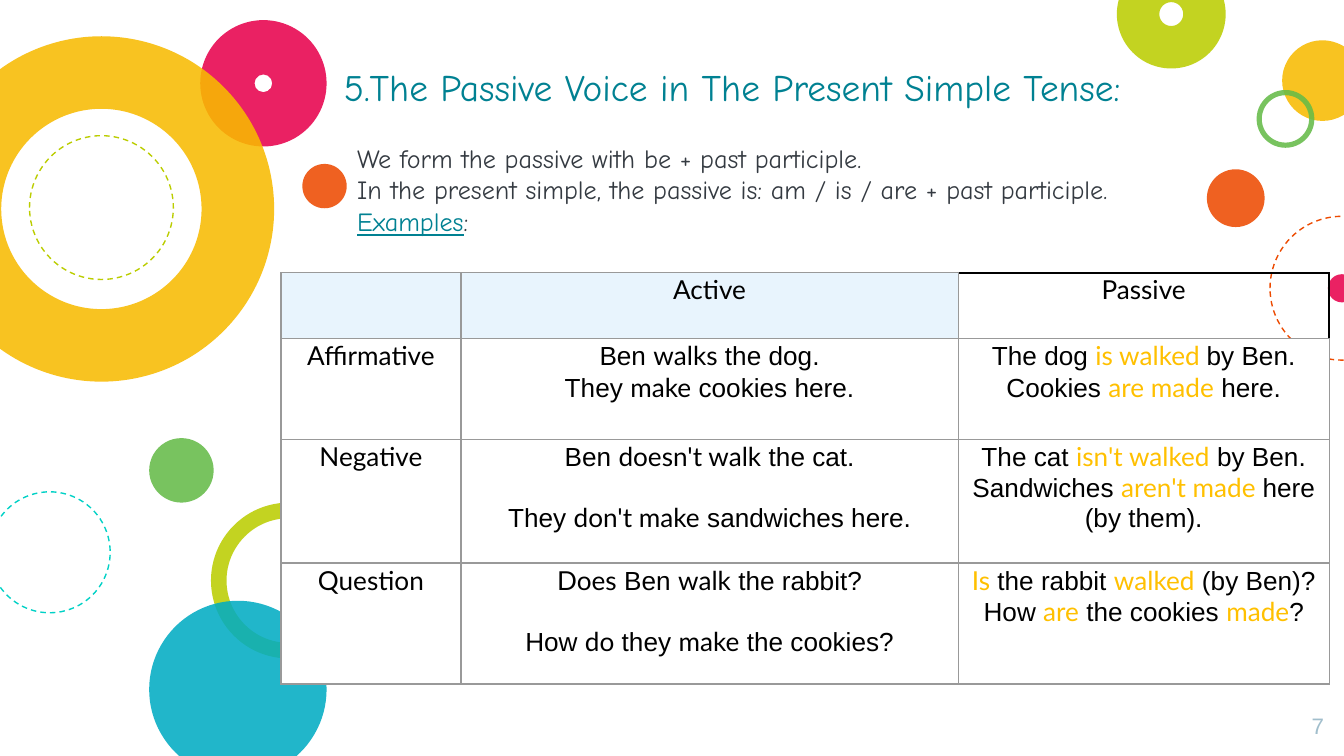
from dataclasses import dataclass

from lxml.etree import SubElement
from pptx import Presentation
from pptx.dml.color import RGBColor
from pptx.enum.dml import MSO_LINE
from pptx.enum.shapes import MSO_SHAPE
from pptx.enum.text import MSO_ANCHOR, PP_ALIGN
from pptx.oxml.ns import qn
from pptx.util import Inches, Pt


@dataclass(frozen=True)
class Theme:
    """Colours, fonts and type sizes of the lesson."""
    black: str = "000000"
    white: str = "FFFFFF"
    teal: str = "008192"
    ink: str = "343A41"
    muted: str = "A1BECC"
    highlight: str = "FFC000"
    header: str = "E8F4FD"
    grid: str = "999999"
    orange: str = "ED4A00"
    green: str = "65BB48"
    pink: str = "E8004C"
    lime: str = "BBCD00"
    yellow: str = "F8BB00"
    cyan: str = "00ACC3"
    aqua: str = "00D1C6"
    heading_font: str = "Comic Neue"
    plain_font: str = "Arial"
    accent_font: str = "Lato"
    title_size: int = 20
    body_size: int = 14
    number_size: int = 12
    opacity: int = 87


class LessonPage:
    """Draws the elements of one slide in the lesson style."""

    def __init__(self, page, theme):
        self.page = page
        self.theme = theme

    def circle(self, left, top, size, colour, hole=None, dashed=False):
        """Add a dashed ring, a disc, or a donut when a hole ratio is given."""
        kind = MSO_SHAPE.OVAL if hole is None else MSO_SHAPE.DONUT
        shape = self.page.shapes.add_shape(
            kind, Inches(left), Inches(top), Inches(size), Inches(size))
        shape.shadow.inherit = False
        if hole is not None:
            shape.adjustments[0] = hole
        if dashed:
            shape.fill.background()
            shape.line.color.rgb = RGBColor.from_string(colour)
            shape.line.width = Pt(0.75)
            shape.line.dash_style = MSO_LINE.DASH
            return
        shape.line.fill.background()
        shape.fill.solid()
        shape.fill.fore_color.rgb = RGBColor.from_string(colour)
        tint = shape.fill._xPr.find(f".//{qn('a:srgbClr')}")
        SubElement(tint, qn("a:alpha"), val=str(self.theme.opacity * 1000))

    def span(self, para, text, font, size, colour, underline=None):
        """Append one formatted run to a paragraph."""
        span = para.add_run()
        span.text = text
        span.font.name = font
        span.font.size = Pt(size)
        span.font.color.rgb = RGBColor.from_string(colour)
        span.font.underline = underline

    def text(self, area, lines, font, size, align=PP_ALIGN.LEFT,
             anchor=MSO_ANCHOR.TOP, inset=0.1):
        """Add a text box whose lines are lists of (text, colour, underline)."""
        box = self.page.shapes.add_textbox(*map(Inches, area))
        frame = box.text_frame
        frame.word_wrap = True
        frame.vertical_anchor = anchor
        frame.margin_top = frame.margin_bottom = Inches(inset)
        for index, line in enumerate(lines):
            para = frame.paragraphs[0] if index == 0 else frame.add_paragraph()
            para.alignment = align
            for text, colour, underline in line:
                self.span(para, text, font, size, colour, underline)

    def border(self, cell, side, colour, width):
        """Draw one side of a table cell."""
        line = SubElement(cell._tc.get_or_add_tcPr(), qn(f"a:ln{side}"), w=str(Pt(width)))
        fill = SubElement(line, qn("a:solidFill"))
        SubElement(fill, qn("a:srgbClr"), val=colour)

    def cell(self, cell, lines, accent, fill, gap=0, strong_sides=""):
        """Fill a cell; text between bars takes the accent font and colour."""
        theme = self.theme
        cell.margin_left = cell.margin_right = Inches(0.01)
        cell.margin_top = cell.margin_bottom = Inches(0.01)
        for index, line in enumerate(lines):
            para = cell.text_frame.paragraphs[0] if index == 0 else cell.text_frame.add_paragraph()
            para.alignment = PP_ALIGN.CENTER
            para.space_before = Pt(gap if index else 0)
            for place, text in enumerate(line.split("|")):
                style = (theme.accent_font, accent) if place % 2 else (theme.plain_font, theme.black)
                if text:
                    self.span(para, text, style[0], theme.body_size, style[1])
        for side in "LRTB":
            strong = side in strong_sides
            self.border(cell, side, theme.black if strong else theme.grid, 1 if strong else 0.75)
        if fill:
            cell.fill.solid()
            cell.fill.fore_color.rgb = RGBColor.from_string(fill)
        else:
            cell.fill.background()

    def table(self, left, top, widths, heights, rows):
        """Add the comparison table from (label, active, passive, gap) rows."""
        theme = self.theme
        table = self.page.shapes.add_table(
            len(heights), len(widths), Inches(left), Inches(top),
            Inches(sum(widths)), Inches(sum(heights))).table
        table.first_row = table.horz_banding = False
        for column, width in zip(table.columns, widths):
            column.width = Inches(width)
        for row, height in zip(table.rows, heights):
            row.height = Inches(height)
        headings = ([], ["|Active|"], ["|Passive|"])
        for index, lines in enumerate(headings):
            last = index == 2
            self.cell(table.cell(0, index), lines, theme.black,
                      None if last else theme.header, strong_sides="RT" if last else "")
        for number, (label, active, passive, gap) in enumerate(rows, 1):
            self.cell(table.cell(number, 0), [f"|{label}|"], theme.black, theme.white)
            self.cell(table.cell(number, 1), active, theme.black, theme.white, gap)
            self.cell(table.cell(number, 2), passive, theme.highlight, theme.white)


def main():
    theme = Theme()
    deck = Presentation()
    deck.slide_width = Inches(10)
    deck.slide_height = deck.slide_width * 9 // 16
    lesson = LessonPage(deck.slides.add_slide(deck.slide_layouts[6]), theme)

    circles = [
        (9.45, 1.61, 1.07, theme.orange, None, True),
        (1.11, 3.26, 0.48, theme.green),
        (-0.08, 3.66, 0.9, theme.aqua, None, True),
        (1.49, 0.15, 0.94, theme.pink, 0.43),
        (1.57, 3.74, 1.16, theme.lime, 0.1),
        (2.25, 1.22, 0.33, theme.orange),
        (9.54, 0.3, 0.6, theme.yellow),
        (9.35, 0.67, 0.43, theme.green, 0.09),
        (8.98, 1.26, 0.43, theme.orange),
        (8.31, -0.3, 0.81, theme.lime, 0.39),
        (9.88, 2.04, 0.21, theme.pink),
        (-0.53, 0.27, 2.57, theme.yellow, 0.21),
        (1.11, 4.47, 1.32, theme.cyan),
        (0.22, 1.01, 1.07, theme.lime, None, True),
    ]
    for circle in circles:
        lesson.circle(*circle)

    title = [[("5.The Passive Voice in The Present Simple Tense:", theme.teal, None)]]
    lesson.text((2.46, 0.21, 7.03, 0.7), title, theme.heading_font, theme.title_size,
                anchor=MSO_ANCHOR.BOTTOM)
    lesson.text((9.44, 5.2, 0.51, 0.43), [[("7", theme.muted, None)]],
                theme.plain_font, theme.number_size, align=PP_ALIGN.RIGHT)
    rule = [
        [("We form the passive with be + past participle.", theme.ink, None)],
        [("In the present simple, the passive is: am / is / are + past participle.", theme.ink, None)],
        [("Examples", theme.teal, True), (":", theme.ink, None)],
    ]
    lesson.text((2.56, 1.01, 6.77, 0.81), rule, theme.heading_font, theme.body_size, inset=0.05)

    examples = [
        ("Affirmative",
         ["Ben |walks| the dog.", "They |make| cookies here."],
         ["The dog |is walked |by Ben.", "Cookies |are made| here."], 0),
        ("Negative",
         ["Ben |doesn't walk| the cat.", "They |don't make| sandwiches here."],
         ["The cat |isn't walked| by Ben.", "Sandwiches |aren't made |here (by them)."], 16),
        ("Question",
         ["|Does| Ben |walk| the rabbit?", "How |do| they |make| the cookies?"],
         ["|Is| the rabbit |walked| (by Ben)?", "How |are| the cookies |made|?"], 16),
    ]
    lesson.table(2.09, 2.03, (1.34, 3.7, 2.76), (0.49, 0.75, 0.92, 0.9), examples)
    deck.save("out.pptx")


if __name__ == "__main__":
    main()
